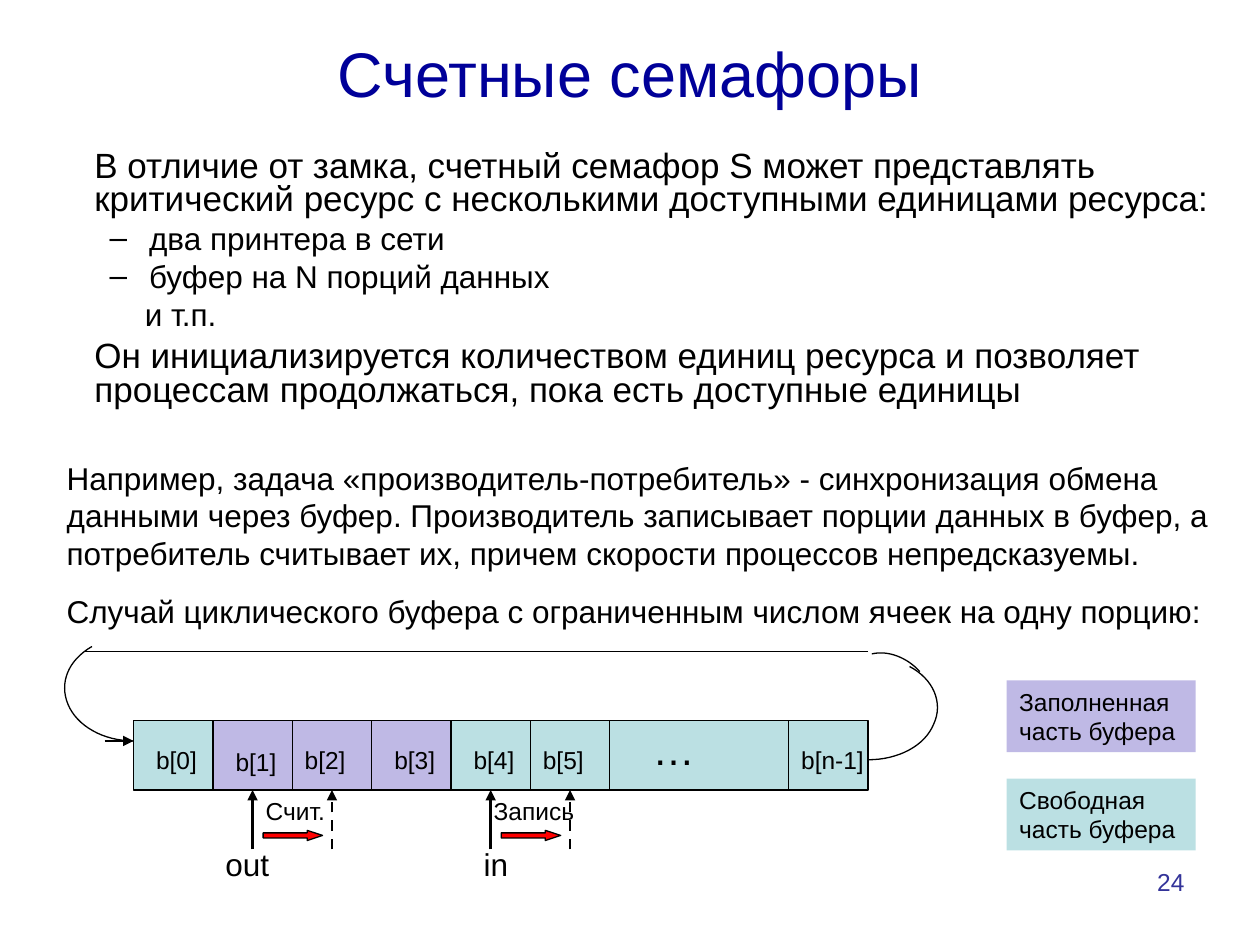
import pptx
import pptx.util
import pptx.dml.color
import pptx.enum.dml
import pptx.enum.shapes
import pptx.enum.text
import pptx.oxml
import pptx.oxml.ns

Pt = pptx.util.Pt
RGB = pptx.dml.color.RGBColor.from_string
SHAPE = pptx.enum.shapes.MSO_SHAPE
ALIGN = pptx.enum.text.PP_ALIGN
ANCHOR = pptx.enum.text.MSO_ANCHOR
NO_FIT = pptx.enum.text.MSO_AUTO_SIZE.NONE
DASH = pptx.enum.dml.MSO_LINE.DASH
qn = pptx.oxml.ns.qn

THEME = {
    "font": "Arial", "ink": "000000", "title": "000099", "number": "333399",
    "filled": "BFB9E5", "free": "BBE0E3", "move": "FF0000",
    "title_size": 36, "dots_size": 24, "body_size": 20, "text_size": 18, "label_size": 14,
    "thin": 0.75, "thick": 1.5,
}


def write(sp, box, paragraphs, size, color="ink", **paragraph_format):
    """Place sp at box and fill it with one paragraph per string."""
    sp.left, sp.top, sp.width, sp.height = [Pt(v) for v in box]
    tf = sp.text_frame
    frame_format = {"word_wrap": True, "auto_size": NO_FIT, "vertical_anchor": ANCHOR.TOP}
    for name, value in frame_format.items():
        setattr(tf, name, value)
    for i, text in enumerate(paragraphs):
        p = tf.paragraphs[0] if i == 0 else tf.add_paragraph()
        for name, value in {"alignment": ALIGN.LEFT, **paragraph_format}.items():
            setattr(p, name, value)
        r = p.add_run()
        r.text = text
        r.font.name, r.font.size = THEME["font"], Pt(THEME[size])
        r.font.color.rgb = RGB(THEME[color])
    return tf


def connect(x1, y1, x2, y2, weight="thin", arrow=False, dash=None):
    cx = s.shapes.add_connector(pptx.enum.shapes.MSO_CONNECTOR.STRAIGHT,
                                Pt(x1), Pt(y1), Pt(x2), Pt(y2))
    cx.line.color.rgb = RGB(THEME["ink"])
    cx.line.width = Pt(THEME[weight])
    if dash:
        cx.line.dash_style = dash
    if arrow:
        ln = cx.line._get_or_add_ln()
        ln.append(ln.makeelement(qn("a:tailEnd"), {"type": "triangle"}))
    sppr = cx._element.spPr
    sppr.append(sppr.makeelement(qn("a:effectLst"), {}))


prs = pptx.Presentation()
prs.slide_width, prs.slide_height = Pt(720), Pt(540)
s = prs.slides.add_slide(prs.slide_layouts[1])

# Title and list
tf = write(s.shapes.title, (25, 0, 670, 83), ["Счетные семафоры"], "title_size", "title",
           alignment=ALIGN.CENTER)
tf.vertical_anchor = ANCHOR.MIDDLE

# text, level, size, space before, left margin, indent, bullet
items = [
    ("В отличие от замка, счетный семафор S может представлять критический ресурс "
     "с несколькими доступными единицами ресурса:", 0, "body_size", 5, 27.2, 0, None),
    ("два принтера в сети", 1, "text_size", 4.5, 58.5, -22.5, "–"),
    ("буфер на N порций данных", 1, "text_size", 4.5, 58.5, -22.5, "–"),
    ("и т.п.", 1, "text_size", 4.5, 56, 0, None),
    ("Он инициализируется количеством единиц ресурса и позволяет процессам "
     "продолжаться, пока есть доступные единицы", 0, "body_size", 5, 27.2, 0, None),
]
tf = write(s.placeholders[1], (19.5, 82.8, 686, 158.4), [item[0] for item in items],
           "body_size", line_spacing=0.8)
for p, (_, level, size, before, margin, indent, bullet) in zip(tf.paragraphs, items):
    p.level, p.space_before = level, Pt(before)
    p.runs[0].font.size = Pt(THEME[size])
    ppr = p._p.get_or_add_pPr()
    ppr.set("marL", str(Pt(margin)))
    ppr.set("indent", str(Pt(indent)))
    if bullet:
        ppr.append(ppr.makeelement(qn("a:buChar"), {"char": bullet}))
    else:
        ppr.append(ppr.makeelement(qn("a:buNone"), {}))

# Example
write(s.shapes.add_textbox(0, 0, 0, 0), (31, 258.5, 669, 105), [
    "Например, задача «производитель-потребитель» - синхронизация обмена данными через "
    "буфер. Производитель записывает порции данных в буфер, а потребитель считывает их, "
    "причем скорости процессов непредсказуемы.",
    "Случай циклического буфера с ограниченным числом ячеек на одну порцию:",
], "text_size", space_before=Pt(11.2))

# Ring buffer
LEFT, TOP, WIDTH, HEIGHT, CELL = 76.3, 411.8, 419.8, 39.6, 45.36
RIGHT, BOTTOM = LEFT + WIDTH, TOP + HEIGHT
for x, width, color in [(LEFT, WIDTH, "free"), (LEFT + CELL, 3 * CELL, "filled")]:
    sp = s.shapes.add_shape(SHAPE.RECTANGLE, Pt(x), Pt(TOP), Pt(width), Pt(HEIGHT))
    sp.shadow.inherit = False
    sp.fill.solid()
    sp.fill.fore_color.rgb = RGB(THEME[color])
    sp.line.color.rgb = RGB(THEME["ink"])
    sp.line.width = Pt(THEME["thin"])
for x in [LEFT + i * CELL for i in range(1, 7)] + [RIGHT - CELL]:
    connect(x, TOP, x, BOTTOM)

# Return loop: chains of cubic Bezier curves
loops = [
    [(RIGHT, 434.2), (513.4, 434.2), (528.5, 426.2), (533.5, 414),
     (539.3, 401.8), (533.5, 388.1), (519.8, 380.9)],
    [(525.6, 383.8), (518.4, 375.8), (507.6, 371.5), (498.2, 373.7)],
    [(LEFT, 423.4), (59, 423.4), (43.9, 414.7), (38.9, 402.5),
     (33.8, 390.2), (38.9, 377.3), (52.6, 369.4)],
]
STEPS = 16
for loop in loops:
    points = []
    for start in range(0, len(loop) - 1, 3):
        for step in range(1, STEPS + 1):
            t = step / STEPS
            weights = ((1 - t) ** 3, 3 * t * (1 - t) ** 2, 3 * t * t * (1 - t), t ** 3)
            controls = loop[start:start + 4]
            points.append([Pt(sum(w * c[axis] for w, c in zip(weights, controls)))
                           for axis in (0, 1)])
    builder = s.shapes.build_freeform(Pt(loop[0][0]), Pt(loop[0][1]))
    builder.add_line_segments(points, close=False)
    sp = builder.convert_to_shape()
    sp.shadow.inherit = False
    sp.fill.background()
    sp.line.color.rgb = RGB(THEME["ink"])
    sp.line.width = Pt(THEME["thin"])
connect(RIGHT, 372.2, 48.5, 372.2)
connect(59.8, 423.4, LEFT, 423.4, arrow=True)

# Pointers with their next positions
for cell, move_x, move_width in [(1, 144.7, 57), (4, 275, 73.5)]:
    x = LEFT + (cell + 0.5) * CELL
    connect(x, 485.3, x, BOTTOM, "thick", True)
    connect(x + CELL, 485.3, x + CELL, BOTTOM, "thick", True, DASH)
    sp = s.shapes.add_shape(SHAPE.RIGHT_ARROW, Pt(x + 6), Pt(474.5), Pt(34), Pt(5.8))
    sp.adjustments[0], sp.adjustments[1] = 0.5, 1.51
    sp.shadow.inherit = False
    sp.fill.solid()
    sp.fill.fore_color.rgb = RGB(THEME["move"])
    sp.line.color.rgb = RGB(THEME["ink"])
    sp.line.width = Pt(THEME["thin"])

# text, left, top, width, height, size
labels = [
    ("b[0]", 82.1, 422, 39.6, 24.5, "label_size"),
    ("b[1]", 127.5, 423.5, 39.6, 24.5, "label_size"),
    ("b[2]", 167, 422, 39.6, 24.5, "label_size"),
    ("b[3]", 218.2, 422, 39.6, 24.5, "label_size"),
    ("b[4]", 263.5, 422, 39.6, 24.5, "label_size"),
    ("b[5]", 303.1, 422, 39.6, 24.5, "label_size"),
    ("b[n-1]", 450.7, 422, 57, 24.5, "label_size"),
    ("…", 365.8, 409.7, 79, 36, "dots_size"),
    ("Счит.", 144.7, 451.4, 57, 24.5, "label_size"),
    ("Запись", 275, 451.4, 73.5, 24.5, "label_size"),
    ("out", 121.7, 479.5, 51, 28.8, "text_size"),
    ("in", 269.3, 479.5, 39.6, 28.8, "text_size"),
]
for text, *box, size in labels:
    write(s.shapes.add_textbox(0, 0, 0, 0), box, [text], size)

# Legend
for text, y, color in [("Заполненная часть буфера", 388.8, "filled"),
                       ("Свободная часть буфера", 445, "free")]:
    sp = s.shapes.add_shape(SHAPE.RECTANGLE, 0, 0, 0, 0)
    sp.shadow.inherit = False
    sp.fill.solid()
    sp.fill.fore_color.rgb = RGB(THEME[color])
    sp.line.fill.background()
    write(sp, (575.3, y, 108, 41), [text], "label_size")

# Slide number
write(s.shapes.add_textbox(0, 0, 0, 0), (516.2, 491.8, 167.8, 37.4), ["24"],
      "label_size", "number", alignment=ALIGN.RIGHT)

prs.save("out.pptx")
